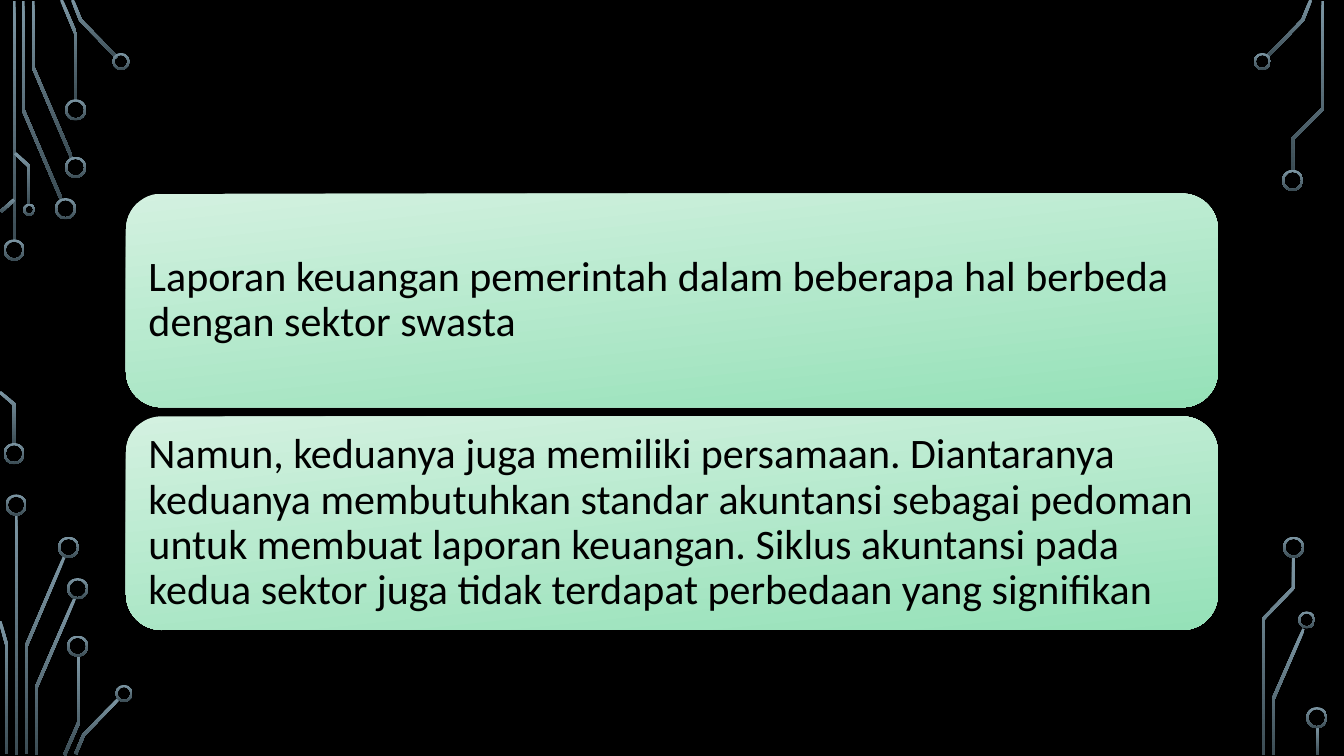
from math import hypot

from pptx import Presentation
from pptx.dml.color import RGBColor
from pptx.enum.shapes import MSO_SHAPE
from pptx.enum.text import MSO_ANCHOR, PP_ALIGN
from pptx.util import Inches, Pt

SLIDE_WIDTH, SLIDE_HEIGHT = 13.33, 7.5
COLORS = {
    "background": "000000",
    "text": "000000",
    "trace_light": "7C96A3",
    "trace_dark": "3B4C54",
    "card_light": "D3F1E0",
    "card_dark": "95E1B8",
}
TRACE_WIDTH = 0.03
RING_WIDTH = 0.02
CARD_GAP = 0.09
STATEMENTS = [
    "Laporan keuangan pemerintah dalam beberapa hal berbeda dengan sektor swasta",
    "Namun, keduanya juga memiliki persamaan. Diantaranya keduanya membutuhkan "
    "standar akuntansi sebagai pedoman untuk membuat laporan keuangan. Siklus "
    "akuntansi pada kedua sektor juga tidak terdapat perbedaan yang signifikan",
]
CIRCUITS = [
    {
        "corner": (0, 0),
        "traces": [
            [(0.14, 0.01), (0.14, 2.4)],
            [(0.23, 0.01), (0.23, 1.09), (0.61, 1.98)],
            [(0.33, 0.01), (0.33, 0.67), (0.71, 1.56)],
            [(0.61, 0), (0.75, 0.33), (0.75, 1)],
            [(0.72, 0), (0.8, 0.2), (1.16, 0.57)],
            [(0.01, 2.1), (0.14, 1.98)],
            [(0.15, 1.52), (0.29, 1.65), (0.29, 2.03)],
        ],
        "rings": [
            (0.14, 2.48, 0.21), (0.65, 2.07, 0.21), (0.75, 1.66, 0.21),
            (0.75, 1.09, 0.21), (1.2, 0.61, 0.17), (0.29, 2.08, 0.12),
        ],
    },
    {
        "corner": (0, 3.7),
        "traces": [
            [(0, 0.19), (0.14, 0.31), (0.14, 0.71)],
            [(0.16, 1.4), (0.16, 3.79)],
            [(0.64, 1.82), (0.26, 2.71), (0.26, 3.78)],
            [(0, 2.46), (0.07, 2.71), (0.07, 3.78)],
            [(0.74, 2.24), (0.36, 3.12), (0.36, 3.79)],
            [(0.78, 2.8), (0.78, 3.47), (0.64, 3.79)],
            [(1.18, 3.23), (0.83, 3.59), (0.75, 3.78)],
        ],
        "rings": [
            (0.14, 0.8, 0.21), (0.16, 1.31, 0.21), (0.68, 1.73, 0.21),
            (0.77, 2.14, 0.21), (0.77, 2.71, 0.21), (1.23, 3.18, 0.17),
        ],
    },
    {
        "corner": (12.3, 0),
        "traces": [
            [(0.7, 0), (0.62, 0.2), (0.27, 0.56)],
            [(0.82, 0.01), (0.82, 1.08), (0.52, 1.38), (0.52, 1.69)],
        ],
        "rings": [(0.22, 0.61, 0.17), (0.52, 1.79, 0.21)],
    },
    {
        "corner": (12.3, 3.7),
        "traces": [
            [(0.63, 2.54), (0.33, 3.23), (0.33, 3.79)],
            [(0.53, 1.82), (0.53, 2.13), (0.23, 2.44), (0.23, 3.79)],
            [(0.77, 3.51), (0.77, 3.79)],
        ],
        "rings": [(0.66, 2.45, 0.17), (0.53, 1.73, 0.21), (0.76, 3.42, 0.21)],
    },
]


def color(name):
    """Return the named colour of the palette."""
    return RGBColor.from_string(COLORS[name])


def paint(shape, family, angle):
    """Give a shape a light-to-dark gradient without line or shadow."""
    shape.shadow.inherit = False
    shape.line.fill.background()
    shape.fill.gradient()
    shape.fill.gradient_angle = angle
    for stop, position, tone in zip(shape.fill.gradient_stops, (0, 1), ("light", "dark")):
        stop.position = position
        stop.color.rgb = color(f"{family}_{tone}")


def trace_outline(points):
    """Widen a centre line into a closed outline with mitred bends."""
    normals = []
    for (x1, y1), (x2, y2) in zip(points, points[1:]):
        length = hypot(x2 - x1, y2 - y1)
        normals.append(((y1 - y2) / length, (x2 - x1) / length))
    near_side, far_side = [], []
    for (x, y), (ax, ay), (bx, by) in zip(
        points, normals[:1] + normals, normals + normals[-1:]
    ):
        reach = TRACE_WIDTH / 2 / (1 + ax * bx + ay * by)
        dx, dy = (ax + bx) * reach, (ay + by) * reach
        near_side.append((x + dx, y + dy))
        far_side.append((x - dx, y - dy))
    return near_side + far_side[::-1]


def draw_circuit(slide, corner, traces, rings):
    """Draw circuit traces and ring terminals relative to a corner."""
    left, top = corner
    for trace in traces:
        outline = [
            (Inches(left + x), Inches(top + y)) for x, y in trace_outline(trace)
        ]
        builder = slide.shapes.build_freeform(*outline[0], scale=1.0)
        builder.add_line_segments(outline[1:], close=True)
        paint(builder.convert_to_shape(), "trace", 270)
    for x, y, size in rings:
        ring = slide.shapes.add_shape(
            MSO_SHAPE.DONUT,
            Inches(left + x - size / 2), Inches(top + y - size / 2),
            Inches(size), Inches(size),
        )
        ring.adjustments[0] = RING_WIDTH / size
        paint(ring, "trace", 270)


def draw_cards(slide, left, top, width, height):
    """Stack the statements as equal rounded cards inside the given box."""
    card_height = (height - CARD_GAP * (len(STATEMENTS) - 1)) / len(STATEMENTS)
    for row, statement in enumerate(STATEMENTS):
        card = slide.shapes.add_shape(
            MSO_SHAPE.ROUNDED_RECTANGLE,
            Inches(left), Inches(top + row * (card_height + CARD_GAP)),
            Inches(width), Inches(card_height),
        )
        paint(card, "card", 276)
        frame = card.text_frame
        frame.word_wrap = True
        frame.vertical_anchor = MSO_ANCHOR.MIDDLE
        frame.margin_left = frame.margin_right = Inches(0.12)
        frame.margin_top = frame.margin_bottom = Inches(0.12)
        paragraph = frame.paragraphs[0]
        paragraph.alignment = PP_ALIGN.LEFT
        paragraph.line_spacing = 0.9
        run = paragraph.add_run()
        run.text = statement
        run.font.name = "Calibri"
        run.font.size = Pt(30)
        run.font.color.rgb = color("text")


def main():
    """Build and save the presentation."""
    presentation = Presentation()
    presentation.slide_width = Inches(SLIDE_WIDTH)
    presentation.slide_height = Inches(SLIDE_HEIGHT)
    slide = presentation.slides.add_slide(presentation.slide_layouts[6])
    slide.background.fill.solid()
    slide.background.fill.fore_color.rgb = color("background")
    for circuit in CIRCUITS:
        draw_circuit(slide, **circuit)
    draw_cards(slide, left=1.25, top=1.92, width=10.83, height=4.33)
    presentation.save("out.pptx")


if __name__ == "__main__":
    main()
